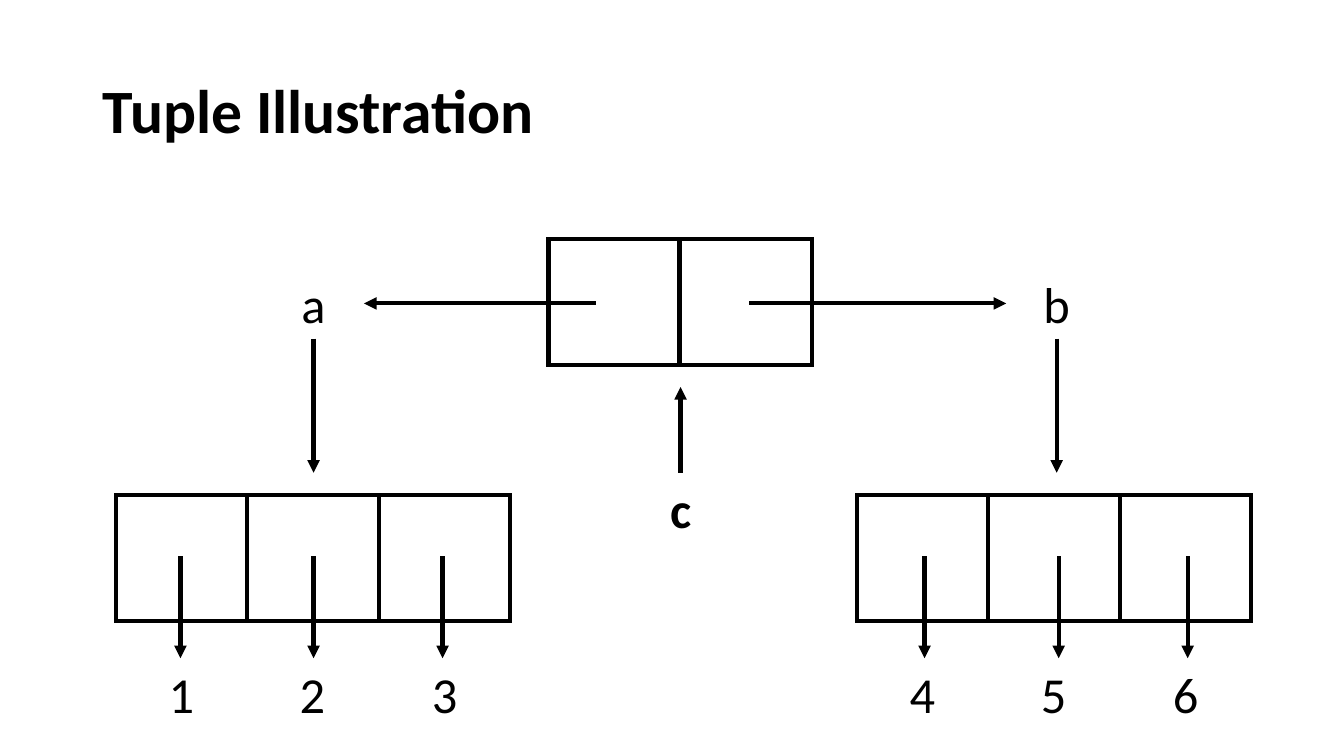
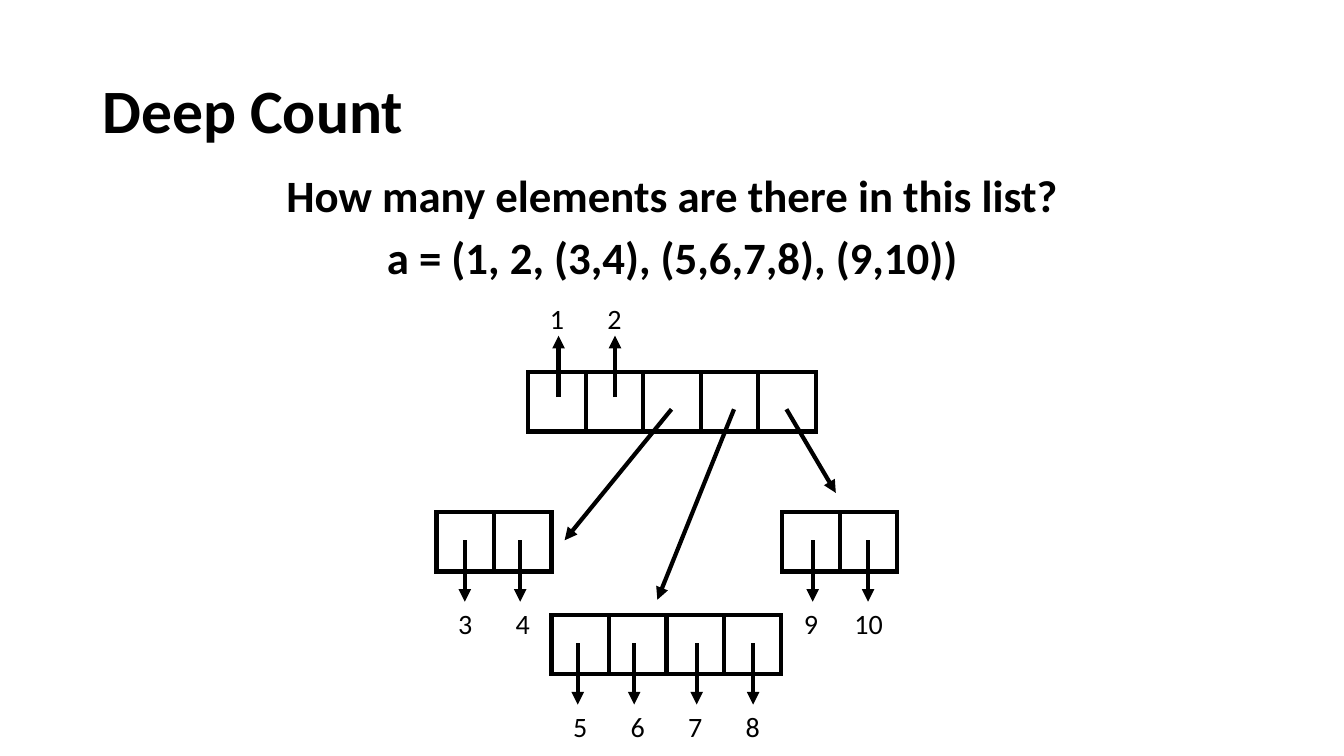
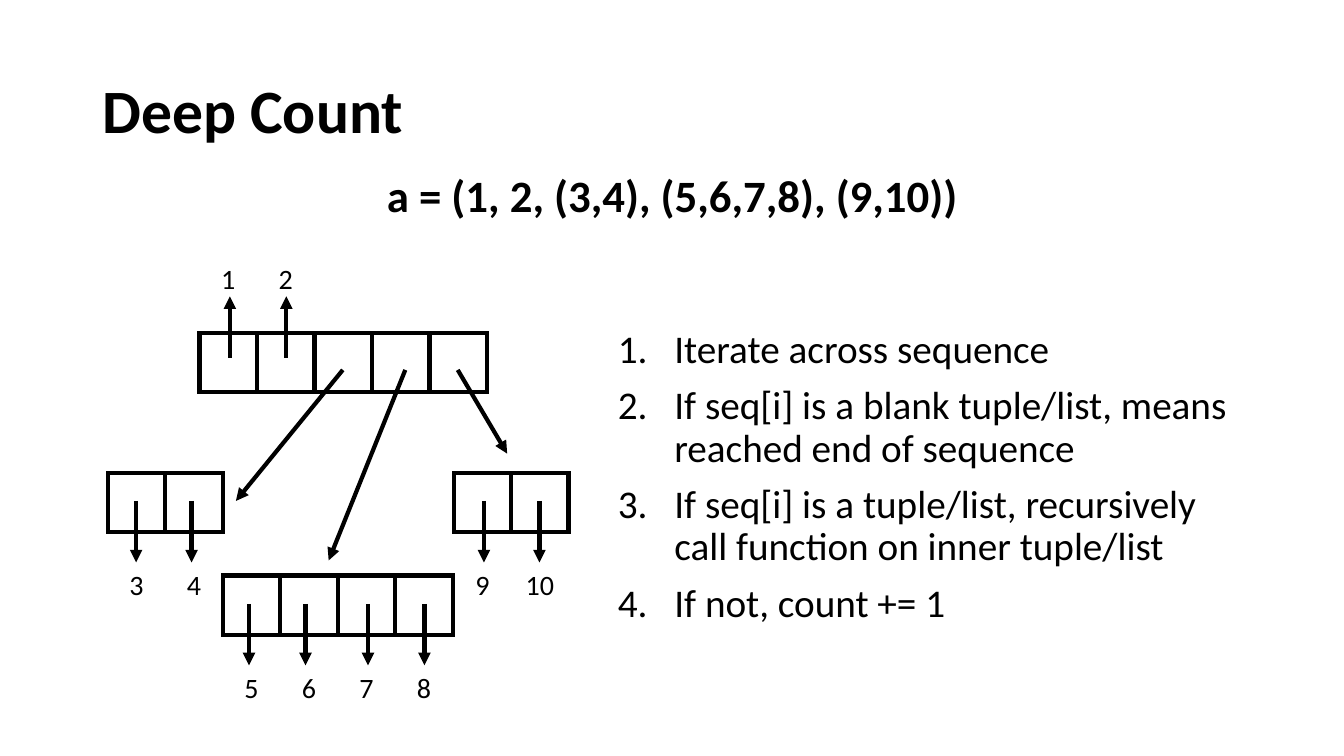
from dataclasses import dataclass

from lxml.etree import SubElement
from pptx import Presentation
from pptx.dml.color import RGBColor
from pptx.enum.shapes import MSO_CONNECTOR, MSO_SHAPE
from pptx.enum.text import MSO_ANCHOR, MSO_AUTO_SIZE, PP_ALIGN
from pptx.oxml.ns import qn
from pptx.util import Pt

PX = 9144  # 100 px to the inch


@dataclass(frozen=True)
class Theme:
    ink = RGBColor(0, 0, 0)
    font = "Calibri"
    title = 44
    formula = 32
    steps = 28
    line = 3


@dataclass(frozen=True)
class CellStyle:
    pair: int  # width of two cells
    height: int
    label_box: tuple
    label_size: int
    down: tuple  # arrow start and end, measured from the top of the row
    up: tuple = (0, 0)
    up_label: int = 0


large = CellStyle(261, 125, (100, 71), 36, down=(61, 162))
small = CellStyle(114, 59, (57, 44), 20, down=(28, 89), up=(25, -36), up_label=-75)


def add_text(page, box, lines, size, bold=False, align=PP_ALIGN.LEFT, spacing=0.9, before=0):
    shape = page.shapes.add_textbox(*[value * PX for value in box])
    frame = shape.text_frame
    frame.word_wrap = True
    frame.text = "\n".join(lines)
    for para in frame.paragraphs:
        para.alignment = align
        para.line_spacing = spacing
        para.space_before = Pt(before)
        para.font.name = theme.font
        para.font.size = Pt(size)
        para.font.bold = bold
        para.font.color.rgb = theme.ink
    return frame


def add_line(page, *ends, head=True):
    line = page.shapes.add_connector(MSO_CONNECTOR.STRAIGHT, *[end * PX for end in ends])
    line.line.color.rgb = theme.ink
    line.line.width = Pt(theme.line)
    if head:
        SubElement(line.line._get_or_add_ln(), qn("a:tailEnd"), type="triangle")
    SubElement(line._element.spPr, qn("a:effectLst"))


theme = Theme()
formula = "a = (1, 2, (3,4), (5,6,7,8), (9,10))"

# Rows: left, top, number of cells, values with the arrow's distance from the left, direction
tuple_rows = [
    (544, 237, 2, {}, "down"),
    (115, 491, 3, {"1": 64, "2": 196, "3": 324}, "down"),
    (850, 491, 3, {"4": 67, "5": 200, "6": 328}, "down"),
]
tuple_arrows = [
    (591, 301, 361, 301),
    (743, 301, 998, 301),
    (311, 336, 311, 469),
    (1048, 336, 1048, 469),
    (675, 469, 675, 384),
]
tree_rows = [
    (524, 369, 5, {"1": 30, "2": 86}, "up"),
    (433, 508, 2, {"3": 28, "4": 83}, "down"),
    (776, 508, 2, {"9": 30, "10": 85}, "down"),
    (547, 610, 4, {"5": 26, "6": 82, "7": 144, "8": 200}, "down"),
]
tree_arrows = [(666, 406, 560, 536), (728, 406, 652, 595), (780, 406, 829, 489)]

# Pages: title, body lines, cell style, rows, arrows, shift of the diagram
pages = [
    ("Tuple Illustration", [], large, tuple_rows, tuple_arrows, (0, 0)),
    ("Deep Count", ["How many elements are there in this list?", formula],
     small, tree_rows, tree_arrows, (0, 0)),
    ("Deep Count", [formula], small, tree_rows, tree_arrows, (-326, -39)),
]

deck = Presentation()
deck.slide_width, deck.slide_height = 1333 * PX, 750 * PX

for title, body, style, rows, arrows, (shift_x, shift_y) in pages:
    page = deck.slides.add_slide(deck.slide_layouts[6])

    # Title and centred body
    frame = add_text(page, (92, 40, 1150, 145), [title], theme.title, bold=True)
    frame.vertical_anchor = MSO_ANCHOR.MIDDLE
    if body:
        add_text(page, (92, 167, 1150, 535), body, theme.formula, bold=True,
                 align=PP_ALIGN.CENTER, before=10)

    for row_left, row_top, count, values, direction in rows:
        left, top = row_left + shift_x, row_top + shift_y
        edges = [left + index * style.pair // 2 for index in range(count + 1)]

        # Cells: boxes two cells wide, each split by a divider; an odd row ends in an overlap
        for first in sorted({*range(0, count - 1, 2), count - 2}):
            pair = page.shapes.add_shape(MSO_SHAPE.RECTANGLE, edges[first] * PX, top * PX,
                                         style.pair * PX, style.height * PX)
            pair.shadow.inherit = False
            pair.fill.background()
            pair.line.color.rgb = theme.ink
            pair.line.width = Pt(theme.line)
            SubElement(pair.line._get_or_add_ln(), qn("a:miter"), lim="800000")
            divider = edges[first + 1]
            add_line(page, divider, top, divider, top + style.height, head=False)

        # Values with their arrows
        start, end = style.up if direction == "up" else style.down
        label_top = top + (style.up_label if direction == "up" else end)
        label_width, label_height = style.label_box
        for edge, (value, offset) in zip(edges, values.items()):
            add_line(page, left + offset, top + start, left + offset, top + end)
            label_left = edge + (style.pair // 2 - label_width) // 2
            label = add_text(page, (label_left, label_top, label_width, label_height),
                             [value], style.label_size, align=PP_ALIGN.CENTER, spacing=1.0)
            label.auto_size = MSO_AUTO_SIZE.SHAPE_TO_FIT_TEXT

    # Arrows between the rows
    for x1, y1, x2, y2 in arrows:
        add_line(page, x1 + shift_x, y1 + shift_y, x2 + shift_x, y2 + shift_y)

# Names in the tuple diagram
tuple_page, _, steps_page = deck.slides
for name, left, top in [("a", 261, 266), ("b", 998, 266), ("c", 625, 469)]:
    label = add_text(tuple_page, (left, top, *large.label_box), [name], large.label_size,
                     bold=name == "c", align=PP_ALIGN.CENTER, spacing=1.0)
    label.auto_size = MSO_AUTO_SIZE.SHAPE_TO_FIT_TEXT

# Numbered steps
steps = add_text(steps_page, (603, 322, 639, 413), [
    "Iterate across sequence",
    "If seq[i] is a blank tuple/list, means reached end of sequence",
    "If seq[i] is a tuple/list, recursively call function on inner tuple/list",
    "If not, count += 1",
], theme.steps, before=10)
for para in steps.paragraphs:
    properties = para._p.get_or_add_pPr()
    properties.set("marL", str(56 * PX))
    properties.set("indent", str(-56 * PX))
    numbering = properties.makeelement(qn("a:buAutoNum"), {"type": "arabicPeriod"})
    properties.find(qn("a:defRPr")).addprevious(numbering)

deck.save("out.pptx")
